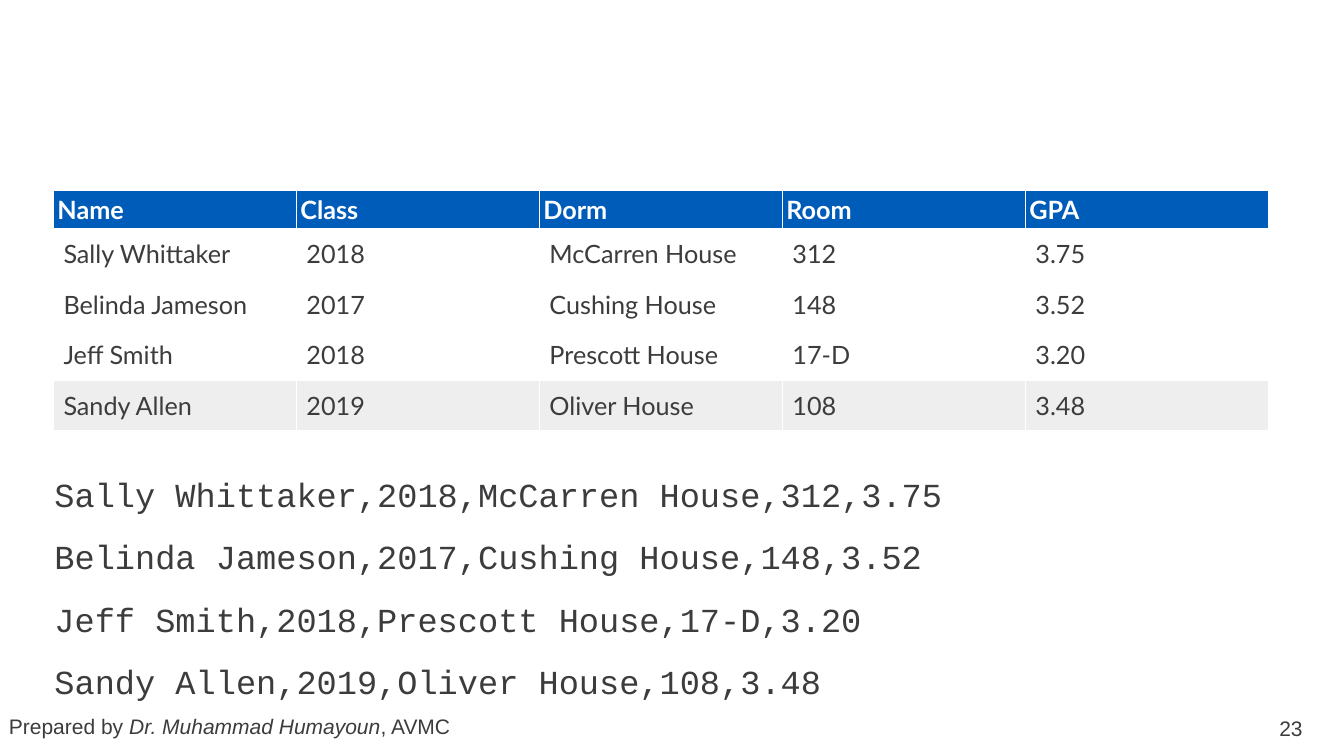
from dataclasses import dataclass

from pptx import Presentation
from pptx.dml.color import RGBColor
from pptx.enum.text import MSO_ANCHOR as Anchor
from pptx.slide import Slide
from pptx.text.text import Font, TextFrame
from pptx.util import Pt

EMU_PER_PX = 9144  # 100 px to the inch


@dataclass(frozen=True)
class Theme:
    ink: str = "3C3C3E"
    header_ink: str = "FFFFFF"
    header_fill: str = "005CB9"
    row_fill: str = "FFFFFF"
    last_row_fill: str = "EEEEEE"
    table_font: str = "Lato"
    code_font: str = "Courier New"
    footer_font: str = "Arial"
    table_size: int = 18
    code_size: int = 24
    footer_size: int = 15


@dataclass(frozen=True)
class Box:
    left: int
    top: int
    width: int
    height: int

    def emu(self) -> tuple[int, int, int, int]:
        return px(self.left), px(self.top), px(self.width), px(self.height)


@dataclass(frozen=True)
class Student:
    name: str
    year: str
    dorm: str
    room: str
    gpa: str

    def fields(self) -> list[str]:
        return [self.name, self.year, self.dorm, self.room, self.gpa]


@dataclass(frozen=True)
class RowStyle:
    fill: str
    ink: str
    bold: bool
    margin: int
    height: int
    anchor: Anchor


THEME = Theme()
HEADINGS = ["Name", "Class", "Dorm", "Room", "GPA"]
STUDENTS = [
    Student("Sally Whittaker", "2018", "McCarren House", "312", "3.75"),
    Student("Belinda Jameson", "2017", "Cushing House", "148", "3.52"),
    Student("Jeff Smith", "2018", "Prescott House", "17-D", "3.20"),
    Student("Sandy Allen", "2019", "Oliver House", "108", "3.48"),
]
HEADER = RowStyle(THEME.header_fill, THEME.header_ink, True, 4, 38, Anchor.MIDDLE)
PLAIN = RowStyle(THEME.row_fill, THEME.ink, False, 10, 50, Anchor.TOP)
LAST = RowStyle(THEME.last_row_fill, THEME.ink, False, 10, 50, Anchor.TOP)


def px(length: int) -> int:
    return length * EMU_PER_PX


def set_font(font: Font, name: str, size: int, color: str, bold: bool = False) -> None:
    font.name, font.size, font.bold = name, Pt(size), bold
    font.color.rgb = RGBColor.from_string(color)


def add_text(slide: Slide, box: Box, wrap: bool = True) -> TextFrame:
    frame = slide.shapes.add_textbox(*box.emu()).text_frame
    frame.word_wrap = wrap
    return frame


def add_student_table(slide: Slide, box: Box) -> None:
    rows = [(HEADINGS, HEADER)]
    rows += [(student.fields(), PLAIN) for student in STUDENTS[:-1]]
    rows.append((STUDENTS[-1].fields(), LAST))
    table = slide.shapes.add_table(len(rows), len(HEADINGS), *box.emu()).table
    for row, (values, style) in zip(table.rows, rows):
        row.height = px(style.height)
        for cell, value in zip(row.cells, values):
            cell.text = value
            cell.fill.solid()
            cell.fill.fore_color.rgb = RGBColor.from_string(style.fill)
            cell.vertical_anchor = style.anchor
            cell.margin_left = cell.margin_right = px(style.margin)
            cell.margin_top = cell.margin_bottom = px(style.margin)
            set_font(cell.text_frame.paragraphs[0].font, THEME.table_font,
                     THEME.table_size, style.ink, style.bold)


def add_csv_lines(slide: Slide, box: Box) -> None:
    frame = add_text(slide, box)
    frame.margin_left = frame.margin_right = 0
    frame.text = "\n".join(",".join(student.fields()) for student in STUDENTS)
    for line in frame.paragraphs:
        line.space_before, line.space_after = Pt(12), Pt(2)
        line.line_spacing = 1.06
        set_font(line.font, THEME.code_font, THEME.code_size, THEME.ink)


def add_footer(slide: Slide, credit_box: Box, number_box: Box) -> None:
    credit = add_text(slide, credit_box, wrap=False).paragraphs[0]
    for words, italic in [("Prepared by ", False),
                          ("Dr. Muhammad Humayoun", True),
                          (", AVMC", False)]:
        run = credit.add_run()
        run.text, run.font.italic = words, italic
    number = add_text(slide, number_box).paragraphs[0]
    number.text = "23"
    for paragraph in (credit, number):
        set_font(paragraph.font, THEME.footer_font, THEME.footer_size, THEME.ink)


def main() -> None:
    deck = Presentation()
    deck.slide_width, deck.slide_height = px(1333), px(750)
    slide = deck.slides.add_slide(deck.slide_layouts[6])

    # Footer credit and slide number
    add_footer(slide, Box(-1, 703, 465, 35), Box(1259, 705, 56, 40))
    # The same records as comma-separated lines and as a table
    add_csv_lines(slide, Box(54, 463, 1205, 260))
    add_student_table(slide, Box(53, 189, 1205, 238))

    deck.save("out.pptx")


if __name__ == "__main__":
    main()
